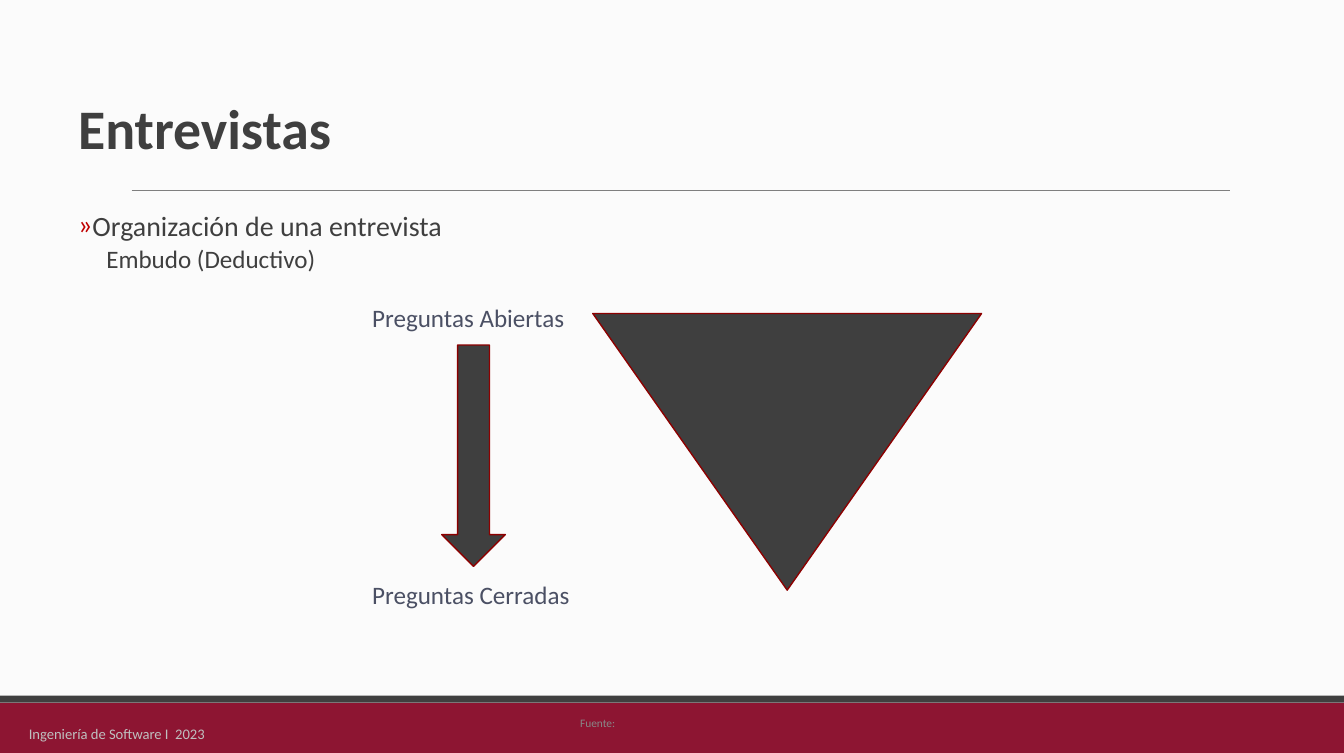
from typing import NamedTuple

from lxml.etree import SubElement
from pptx import Presentation
from pptx.dml.color import RGBColor as Rgb
from pptx.enum.shapes import MSO_CONNECTOR as Link, MSO_SHAPE as Kind
from pptx.enum.text import MSO_ANCHOR as Anchor
from pptx.oxml.ns import qn
from pptx.util import Cm, Pt

HUES = {
    "back": "FBFBFB", "wine": "8D1532", "dark": "3F3F3F", "edge": "8C0000",
    "rule": "7F7F7F", "mark": "C00000", "slate": "4B5064",
    "source": "888888", "foot": "BFBFBF",
}
WIDE, HIGH = 34.01, 19.05


class Box(NamedTuple):
    left: float
    top: float
    width: float
    height: float


class Form(NamedTuple):
    kind: Kind
    box: Box
    fill: str
    edge: str = ""
    turn: int = 0


class Label(NamedTuple):
    text: str
    box: Box
    size: float
    hue: str


def tint(name: str) -> Rgb:
    return Rgb.from_string(HUES[name])


def draw(slide, form: Form) -> None:
    shape = slide.shapes.add_shape(form.kind, *map(Cm, form.box))
    shape.shadow.inherit = False
    shape.rotation = form.turn
    shape.fill.solid()
    shape.fill.fore_color.rgb = tint(form.fill)
    if form.edge:
        shape.line.color.rgb = tint(form.edge)
        shape.line.width = Pt(1)
    else:
        shape.line.fill.background()


def frame(slide, box: Box, anchor=Anchor.TOP, wrap: bool = True):
    body = slide.shapes.add_textbox(*map(Cm, box)).text_frame
    body.word_wrap = wrap
    body.vertical_anchor = anchor
    return body


def write(para, text: str, *, size: float, hue: str, bold: bool = False,
          space: float = 1, before: float = 0, left: float = 0,
          hang: float = 0, mark: str = "") -> None:
    props = para._p.get_or_add_pPr()
    props.set("marL", str(Cm(left)))
    props.set("indent", str(-Cm(hang)))
    para.line_spacing = space
    para.space_before = Pt(before)
    if mark:
        color = SubElement(props, qn("a:buClr"))
        SubElement(color, qn("a:srgbClr"), val=HUES["mark"])
        SubElement(props, qn("a:buFont"), typeface="Calibri")
        SubElement(props, qn("a:buChar"), char=mark)
    run = para.add_run()
    run.text = text
    run.font.name = "Calibri"
    run.font.size = Pt(size)
    run.font.bold = bold
    run.font.color.rgb = tint(hue)


FORMS = [
    Form(Kind.RECTANGLE, Box(0, 17.78, WIDE, 1.27), "wine"),
    Form(Kind.RECTANGLE, Box(0, 17.6, WIDE, 0.18), "dark"),
    Form(Kind.ISOSCELES_TRIANGLE, Box(15, 7.93, 9.84, 7), "dark", "edge", 180),
    Form(Kind.DOWN_ARROW, Box(11.18, 8.73, 1.61, 5.6), "dark", "edge"),
]
LABELS = [
    Label("Fuente:", Box(14.43, 18, 1.85, 0.61), 8.2, "source"),
    Label("Ingeniería de Software I  2023", Box(0.48, 18.21, 6.02, 0.58),
          10.5, "foot"),
    Label("Preguntas Abiertas", Box(9.17, 7.52, 5.38, 1.8), 18, "slate"),
    Label("Preguntas Cerradas", Box(9.17, 14.53, 5.54, 1.8), 18, "slate"),
]


def main() -> None:
    deck = Presentation()
    deck.slide_width, deck.slide_height = Cm(WIDE), Cm(HIGH)
    slide = deck.slides.add_slide(deck.slide_layouts[6])
    slide.background.fill.solid()
    slide.background.fill.fore_color.rgb = tint("back")

    # Footer bands, funnel and arrow
    for form in FORMS:
        draw(slide, form)

    # Rule under the title
    rule = slide.shapes.add_connector(
        Link.STRAIGHT, Cm(3.33), Cm(4.83), Cm(31.12), Cm(4.83))
    rule.line.color.rgb = tint("rule")
    rule.line.width = Pt(0.75)
    SubElement(rule._element.spPr, qn("a:effectLst"))

    # Title
    title = frame(slide, Box(1.73, 1.78, 30.05, 3.15), Anchor.MIDDLE)
    write(title.paragraphs[0], "Entrevistas", size=40, hue="dark",
          bold=True, space=0.85)

    # Topic and its subtopic
    body = frame(slide, Box(1.73, 5.28, 27.3, 2.2))
    write(body.paragraphs[0], "Organización de una entrevista", size=20,
          hue="dark", space=0.85, left=0.18, hang=0.18, mark="»")
    write(body.add_paragraph(), "Embudo (Deductivo)", size=18, hue="dark",
          space=0.85, before=4.5, left=0.71)

    # Funnel labels and footer texts
    for label in LABELS:
        spot = frame(slide, label.box, wrap=False)
        write(spot.paragraphs[0], label.text, size=label.size, hue=label.hue)

    deck.save("out.pptx")


if __name__ == "__main__":
    main()
